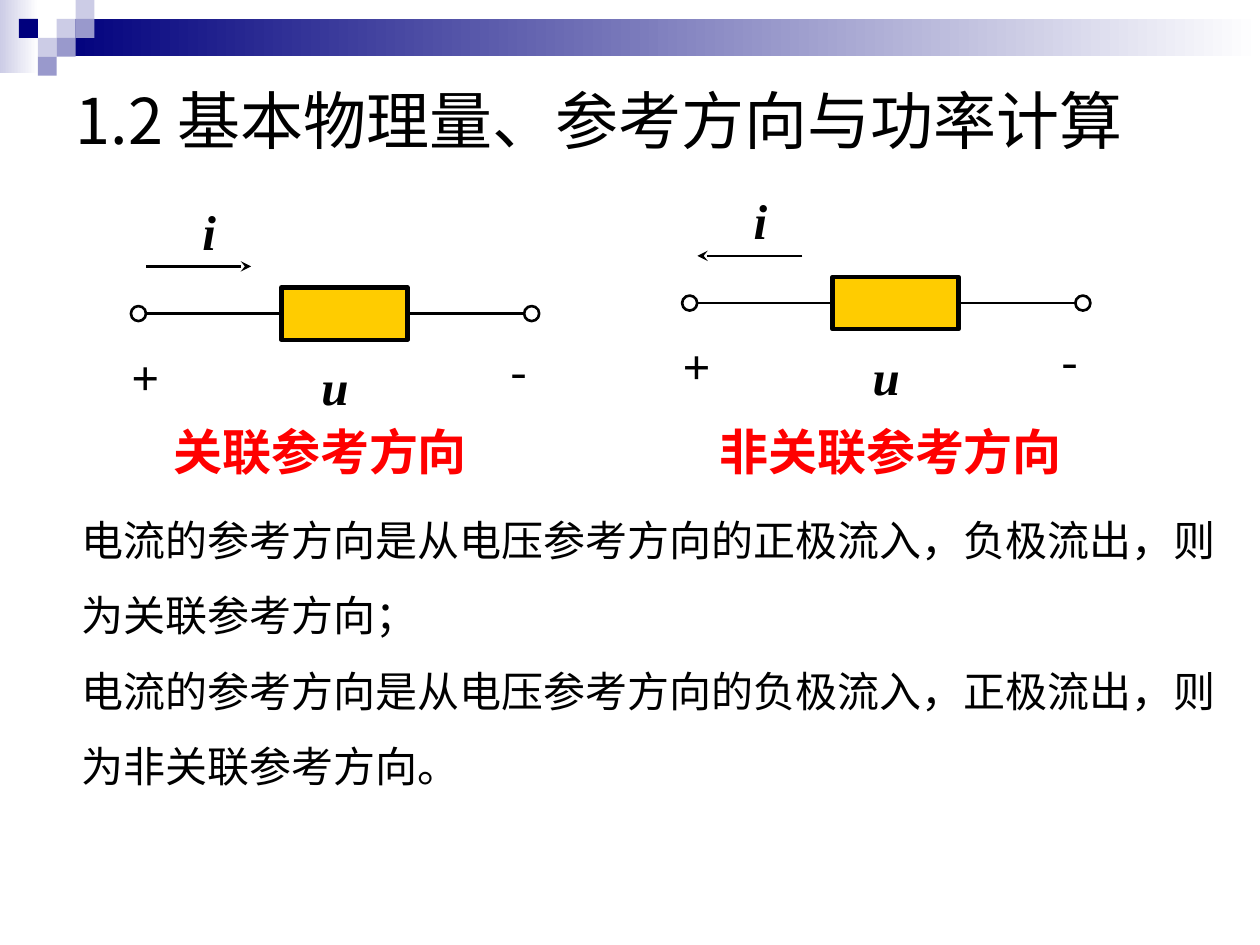
from lxml.etree import SubElement
from pptx import Presentation
from pptx.dml.color import RGBColor
from pptx.enum.shapes import MSO_CONNECTOR, MSO_SHAPE
from pptx.enum.text import MSO_ANCHOR, PP_ALIGN
from pptx.oxml.ns import qn
from pptx.util import Pt

COLORS = {
    "navy": "00007D", "lilac": "CCCCE6", "violet": "9999CC", "white": "FFFFFF",
    "black": "000000", "gold": "FFCC00", "red": "FF0000",
}
SANS = "Noto Sans CJK SC"
SERIF = "Times New Roman"

prs = Presentation()
prs.slide_width, prs.slide_height = Pt(720), Pt(540)
slide = prs.slides.add_slide(prs.slide_layouts[5])
shapes = slide.shapes


def draw(kind, left, top, width, height, colors, line_width=0):
    """Add a preset shape; two colors make a left-to-right gradient."""
    shape = shapes.add_shape(kind, Pt(left), Pt(top), Pt(width), Pt(height))
    shape.shadow.inherit = False
    if len(colors) == 2:
        shape.fill.gradient()
        shape.fill.gradient_angle = 0
        for stop, color, position in zip(shape.fill.gradient_stops, colors, (0, 1)):
            stop.color.rgb = RGBColor.from_string(COLORS[color])
            stop.position = position
    else:
        shape.fill.solid()
        shape.fill.fore_color.rgb = RGBColor.from_string(COLORS[colors[0]])
    if line_width:
        shape.line.color.rgb = RGBColor.from_string(COLORS["black"])
        shape.line.width = Pt(line_width)
    else:
        shape.line.fill.background()


def write(box, place, texts, size, font, color="black", bold=False, italic=False,
          align=PP_ALIGN.LEFT, anchor=MSO_ANCHOR.MIDDLE, spacing=1):
    """Place a text shape and fill it with one paragraph per text."""
    box.left, box.top, box.width, box.height = map(Pt, place)
    frame = box.text_frame
    frame.word_wrap = True
    frame.vertical_anchor = anchor
    for number, text in enumerate(texts):
        paragraph = frame.add_paragraph() if number else frame.paragraphs[0]
        paragraph.alignment = align
        paragraph.line_spacing = spacing
        run = paragraph.add_run()
        run.text = text
        run.font.size = Pt(size)
        run.font.bold, run.font.italic = bold, italic
        run.font.color.rgb = RGBColor.from_string(COLORS[color])
        run.font.name = font
        SubElement(run.font._element, qn("a:ea"), typeface=SANS)


# Header band and mosaic
draw(MSO_SHAPE.RECTANGLE, 0, 0, 22, 41.8, ["lilac", "white"])
draw(MSO_SHAPE.RECTANGLE, 32.4, 10.8, 687.6, 21.4, ["navy", "white"])
TILE = 10.8
for column, row, color in [
    (3, 1, "lilac"), (4, 0, "lilac"), (4, 1, "violet"), (2, 2, "lilac"),
    (1, 1, "navy"), (3, 2, "violet"), (2, 3, "violet"),
]:
    draw(MSO_SHAPE.RECTANGLE, column * TILE, row * TILE, TILE, TILE, [color])

write(shapes.title, (36, 36, 648, 64), ["1.2 基本物理量、参考方向与功率计算"], 36, SANS)

# Two circuits, differing in position and current direction
for dx, dy, arrow_ends in [(0, 0, (83.5, 143.5)), (315, -6, (143.5, 83.5))]:
    draw(MSO_SHAPE.RECTANGLE, 160.8 + dx, 164.2 + dy, 72, 30, ["gold"], 2.5)
    for start, end, y, is_arrow in [
        (83.5, 160.8, 179.2, False),
        (232.8, 305, 179.2, False),
        (*arrow_ends, 152.2, True),
    ]:
        wire = shapes.add_connector(
            MSO_CONNECTOR.STRAIGHT, Pt(start + dx), Pt(y + dy), Pt(end + dx), Pt(y + dy))
        wire.line.color.rgb = RGBColor.from_string(COLORS["black"])
        wire.line.width = Pt(1.5)
        if is_arrow:
            SubElement(wire.line._get_or_add_ln(), qn("a:tailEnd"), type="stealth")
        SubElement(wire._element.spPr, qn("a:effectLst"))
    for terminal_left in (74.8, 299.5):
        draw(MSO_SHAPE.OVAL, terminal_left + dx, 174.9 + dy, 8.6, 8.6, ["white"], 1.5)
    for symbol, left, top, width, font, bold, italic in [
        ("+", 59, 194.2, 48, SERIF, True, False),
        ("-", 263.4, 191.6, 66, SANS, False, False),
        ("i", 83.5, 111.4, 72, SERIF, True, True),
        ("u", 155.5, 200.2, 72, SERIF, True, True),
    ]:
        write(shapes.add_textbox(0, 0, 0, 0), (left + dx, top + dy, width, 41), [symbol],
              28, font, bold=bold, italic=italic, align=PP_ALIGN.CENTER)

for caption, left, width in [("关联参考方向", 92, 199), ("非关联参考方向", 404, 225)]:
    write(shapes.add_textbox(0, 0, 0, 0), (left, 237.2, width, 41), [caption],
          28, SERIF, "red", bold=True)

write(shapes.add_textbox(0, 0, 0, 0), (39.6, 275.8, 670, 175), [
    "电流的参考方向是从电压参考方向的正极流入，负极流出，则为关联参考方向；",
    "电流的参考方向是从电压参考方向的负极流入，正极流出，则为非关联参考方向。",
], 24, SANS, anchor=MSO_ANCHOR.TOP, spacing=1.5)

prs.save("out.pptx")
